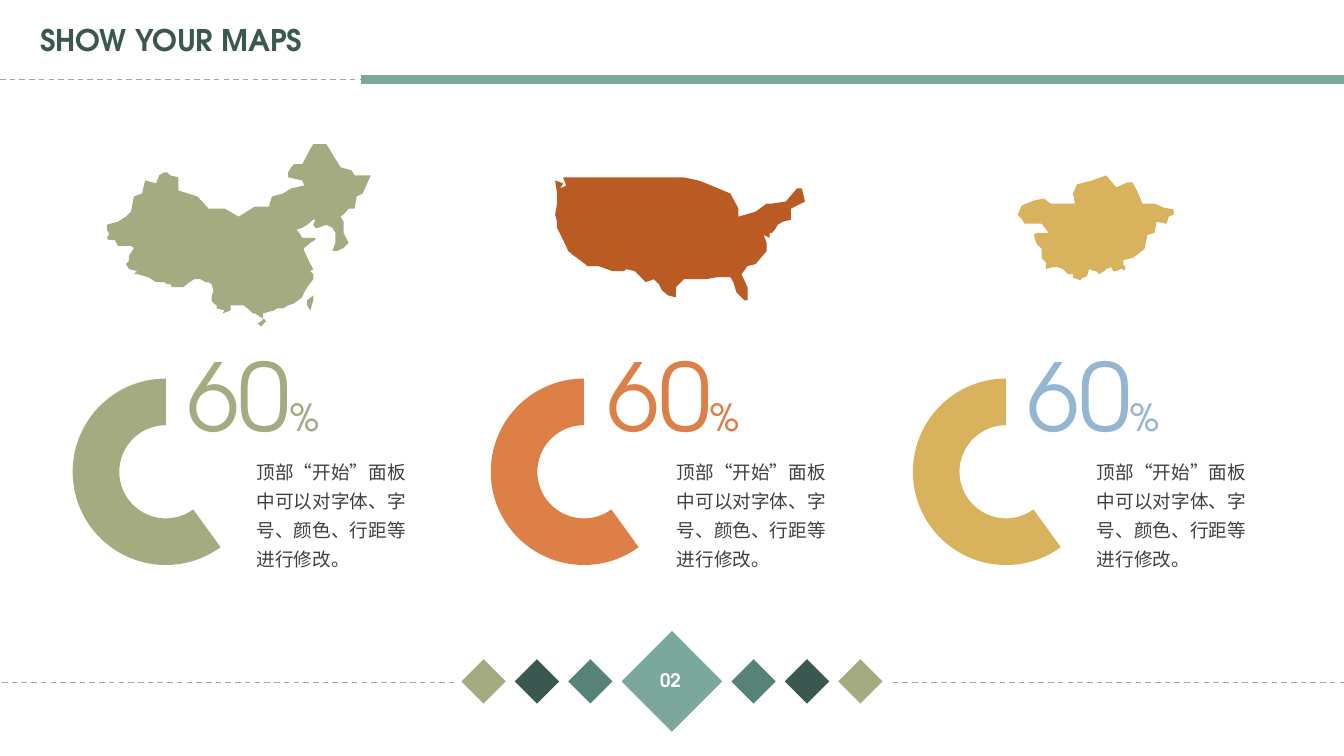
from dataclasses import dataclass

from lxml.etree import SubElement
from pptx import Presentation
from pptx.chart.data import CategoryChartData
from pptx.dml.color import RGBColor
from pptx.enum.chart import XL_CHART_TYPE
from pptx.enum.dml import MSO_LINE
from pptx.enum.shapes import MSO_CONNECTOR, MSO_SHAPE
from pptx.enum.text import MSO_ANCHOR, PP_ALIGN
from pptx.oxml import parse_xml
from pptx.oxml.ns import nsdecls, qn
from pptx.util import Inches, Pt


@dataclass(frozen=True)
class Theme:
    sage: str = "A5AB81"
    rust: str = "B95B22"
    orange: str = "DD8047"
    gold: str = "D8B25C"
    blue: str = "94B6D2"
    teal: str = "7BA79D"
    pine: str = "578279"
    dark: str = "3A5750"
    gray: str = "A6A6A6"
    ink: str = "404040"
    white: str = "FFFFFF"
    black: str = "000000"
    latin: str = "TeX Gyre Adventor"
    cjk: str = "Noto Sans CJK SC"
    title: float = 21.3
    body: float = 13.3
    huge: float = 66.7
    unit: float = 26.7
    label: float = 10


# Map outlines: x,y pairs in hundredths of an inch
ISLES = [
    "256,321 259,319 262,316 264,319 262,321 259,324",
    "305,303 305,298 311,293 311,298 308,308",
]
# The eastern map runs along its upper edge, then its lower edge
UPPER = """
360,192 368,174 352,174 349,169 338,166 324,143 311,143 308,148 300,163 292,163
289,166 286,171 286,176 300,179 302,184 289,187 281,192 270,195 267,205 253,205
237,215 223,207 207,207 196,195 177,189 177,176 169,174 166,171 163,171 158,174
155,182 144,179 141,192 133,195 130,210 125,215 117,220 106,223 106,228 108,231
108,233 106,236 108,238 114,238 117,244 130,244 133,246 128,254 128,259 125,262
"""
LOWER = """
128,267 136,269 133,272 136,272 147,275 155,280 163,280 166,282 169,282 171,285
182,285 188,280 193,277 199,277 204,280 207,280 210,282 212,288 210,295 210,298
212,301 215,303 215,306 223,308 221,311 229,308 229,303 242,303 248,308 251,311
253,311 261,316 261,311 272,308 275,306 281,306 286,303 292,301 300,295 302,290
305,285 311,277 311,272 308,269 311,267 308,262 302,249 302,246 308,241 313,238
313,236 300,236 297,231 294,228 300,226 305,223 311,218 313,218 311,223 313,226
316,226 324,223 330,226 333,231 333,241 330,249 335,249 341,246 343,244 346,241
341,231 341,220 338,215 341,213 346,207 352,207 354,195
"""
WEST = """
608,269 619,269 622,267 630,269 641,280 649,277 654,282 657,288 663,293 671,295
671,285 676,280 679,277 701,277 712,275 725,275 728,280 731,290 739,298 742,298
742,285 736,272 742,264 750,262 761,249 761,241 758,233 764,236 764,231 766,231
769,228 772,223 777,220 785,218 785,207 799,200 796,187 791,187 780,200 766,202
761,202 750,210 733,215 733,207 725,192 701,182 693,179 679,176 559,176 562,184
556,187 559,182 551,179 553,192 553,202 551,213 553,220 553,226 559,238 564,249
570,254 581,262 583,264 594,264
"""
INLAND = """
1117,265 1115,263 1115,258 1124,256 1131,251 1136,247 1139,233 1146,231 1148,220
1158,222 1160,215 1165,213 1165,208 1155,206 1146,202 1134,202 1129,190 1124,181
1119,181 1108,186 1098,174 1084,179 1069,183 1065,192 1067,202 1043,202 1036,197
1026,199 1014,204 1010,213 1014,217 1017,222 1034,222 1041,231 1029,231 1026,233
1029,242 1034,247 1034,256 1038,260 1038,269 1038,267 1045,265 1050,265 1055,267
1060,272 1065,272 1065,276 1067,276 1072,278 1074,276 1079,274 1081,267 1086,269
1088,269 1091,272 1096,269 1098,267 1103,265 1105,269 1108,269 1112,267 1115,267
1115,269 1117,267
"""
NOTE = "顶部“开始”面板中可以对字体、字号、颜色、行距等进行修改。"


def put_text(para, text, *, size, color, face, bold=False):
    run = para.add_run()
    run.text = text
    font = run.font
    font.size, font.bold, font.name = Pt(size), bold, face
    font.color.rgb = RGBColor.from_string(color)
    SubElement(font._element, qn("a:ea")).set("typeface", face)


class Deck:
    def __init__(self, theme):
        self.theme = theme
        self.file = Presentation()
        self.file.slide_width, self.file.slide_height = Inches(13.34), Inches(7.5)
        self.slide = self.file.slides.add_slide(self.file.slide_layouts[6])
        self.shapes = self.slide.shapes

    def paint(self, shape, color):
        shape.shadow.inherit = False
        shape.fill.solid()
        shape.fill.fore_color.rgb = RGBColor.from_string(color)
        shape.line.fill.background()

    def rule(self, start, end, y, color, width, dash=False):
        line = self.shapes.add_connector(
            MSO_CONNECTOR.STRAIGHT, Inches(start), Inches(y), Inches(end), Inches(y))
        line.line.color.rgb = RGBColor.from_string(color)
        line.line.width = Pt(width)
        if dash:
            line.line.dash_style = MSO_LINE.DASH
        SubElement(line._element.spPr, qn("a:effectLst"))

    def diamond(self, mid, y, size, color):
        shape = self.shapes.add_shape(
            MSO_SHAPE.DIAMOND, Inches(mid - size / 2), Inches(y - size / 2),
            Inches(size), Inches(size))
        self.paint(shape, color)

    def outline(self, shapes, points, color):
        first, *rest = [tuple(map(int, pair.split(","))) for pair in points.split()]
        pen = shapes.build_freeform(*first, scale=Inches(0.01))
        pen.add_line_segments(rest, close=True)
        self.paint(pen.convert_to_shape(), color)

    def text(self, left, top, width, height, *parts, align=PP_ALIGN.LEFT,
             anchor=MSO_ANCHOR.TOP, space=None):
        box = self.shapes.add_textbox(
            Inches(left), Inches(top), Inches(width), Inches(height))
        frame = box.text_frame
        frame.word_wrap, frame.vertical_anchor = True, anchor
        para = frame.paragraphs[0]
        para.alignment, para.line_spacing = align, space
        for words, style in parts:
            put_text(para, words, **style)

    def ring(self, left, color):
        data = CategoryChartData()
        data.categories = ["1", "2"]
        data.add_series("Series 1", [40, 60])
        width, height, size = 3.11, 2.12, 1.85
        chart = self.shapes.add_chart(
            XL_CHART_TYPE.DOUGHNUT, Inches(left), Inches(3.62),
            Inches(width), Inches(height), data).chart
        chart.has_legend = chart.has_title = False
        chart.font.size, chart.font.name = Pt(self.theme.label), self.theme.latin
        chart.font.color.rgb = RGBColor.from_string(self.theme.black)
        plot = chart.plots[0]
        plot.vary_by_categories = False
        rest, share = [plot.series[0].points[i].format for i in range(2)]
        rest.fill.background()
        share.fill.solid()
        share.fill.fore_color.rgb = RGBColor.from_string(color)
        for part in (rest, share):
            part.line.fill.background()
        # Hole size and centred plot area
        root = chart._chartSpace
        root.xpath(".//c:holeSize")[0].set("val", "44")
        area = root.xpath(".//c:plotArea")[0]
        for old in area.xpath("./c:layout"):
            area.remove(old)
        w, h = size / width, size / height
        spots = {"x": (1 - w) / 2, "y": (1 - h) / 2, "w": w, "h": h}
        tags = "".join(f'<c:{k} val="{v:.3f}"/>' for k, v in spots.items())
        area.insert(0, parse_xml(
            f'<c:layout {nsdecls("c")}><c:manualLayout><c:layoutTarget val="inner"/>'
            f'<c:xMode val="edge"/><c:yMode val="edge"/>{tags}'
            '</c:manualLayout></c:layout>'))


def main():
    theme = Theme()
    deck = Deck(theme)

    # Header and footer rules
    deck.rule(0, 13.34, 0.79, theme.gray, 1, dash=True)
    deck.rule(3.58, 13.34, 0.79, theme.teal, 6)
    for start, end in ((0.02, 4.51), (8.86, 13.34)):
        deck.rule(start, end, 6.77, theme.gray, 1, dash=True)

    # Footer diamonds, mirrored around the page number
    mid, level = 6.67, 6.76
    deck.diamond(mid, level, 1, theme.teal)
    for i, color in enumerate((theme.pine, theme.dark, theme.sage)):
        for side in (-1, 1):
            deck.diamond(mid + side * (0.81 + 0.53 * i), level, 0.44, color)

    # Title and page number
    head = dict(face=theme.latin, bold=True)
    deck.text(6.39, 6.5, 0.53, 0.5,
              ("02", dict(size=theme.body, color=theme.white, **head)),
              align=PP_ALIGN.CENTER, anchor=MSO_ANCHOR.MIDDLE)
    deck.text(0.3, 0.17, 5.26, 0.49,
              ("SHOW YOUR MAPS", dict(size=theme.title, color=theme.dark, **head)))

    # Maps
    group = deck.shapes.add_group_shape()
    for points in (*ISLES, UPPER + LOWER):
        deck.outline(group.shapes, points, theme.sage)
    deck.outline(deck.shapes, WEST, theme.rust)
    deck.outline(deck.shapes, INLAND, theme.gold)

    # Rings with percentages and notes
    columns = ((0.09, theme.sage, theme.sage), (4.24, theme.orange, theme.orange),
               (8.43, theme.gold, theme.blue))
    for i, (left, fill, tint) in enumerate(columns):
        x = 1.76 + 4.17 * i
        deck.ring(left, fill)
        deck.text(x + 0.69, 4.46, 1.7, 1.27,
                  (NOTE, dict(size=theme.body, color=theme.ink, face=theme.cjk)),
                  space=1.3)
        look = dict(color=tint, face=theme.latin)
        deck.text(x, 3.31, 1.81, 1.22, ("60", dict(size=theme.huge, **look)),
                  ("%", dict(size=theme.unit, **look)))

    deck.file.save("out.pptx")


if __name__ == "__main__":
    main()
